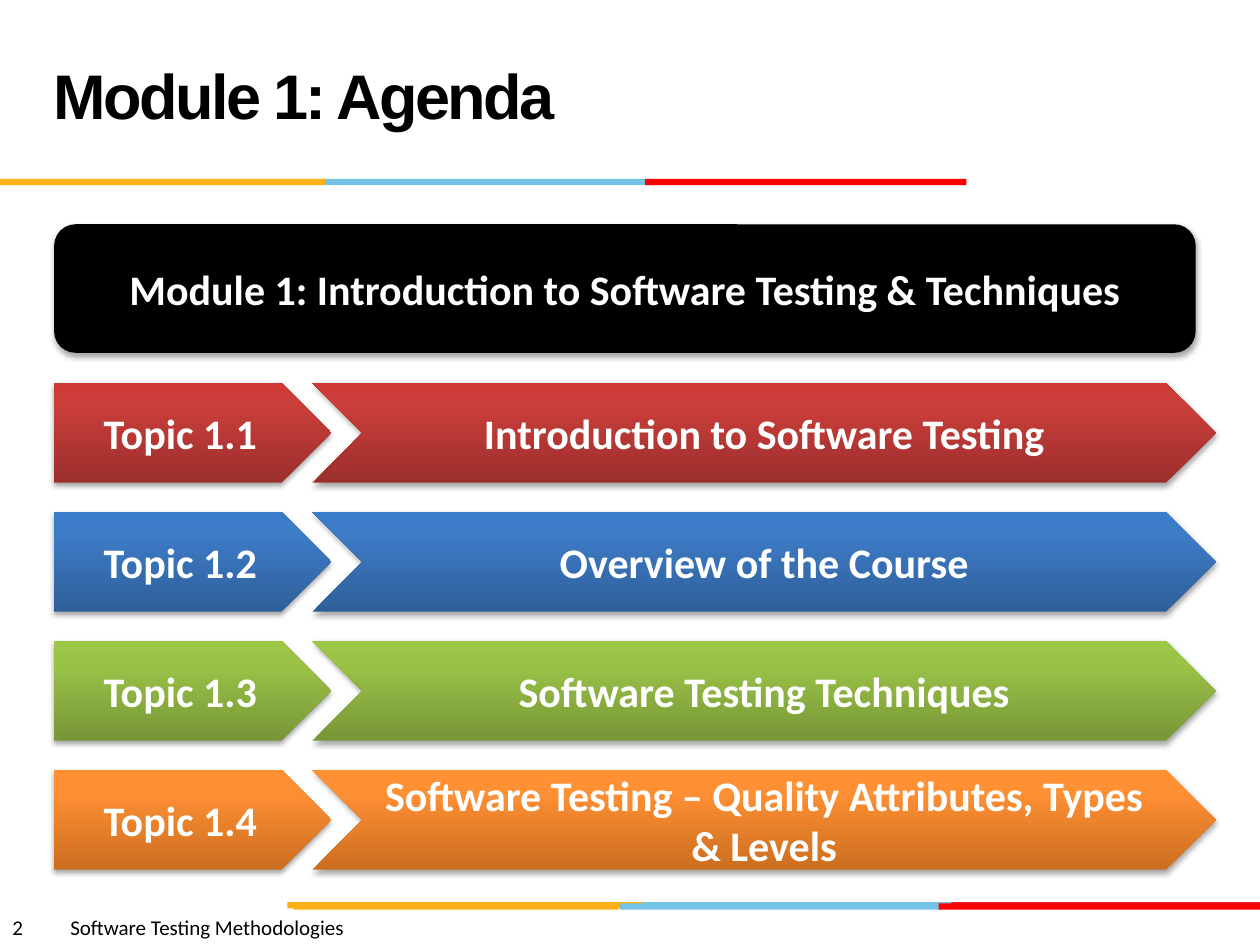
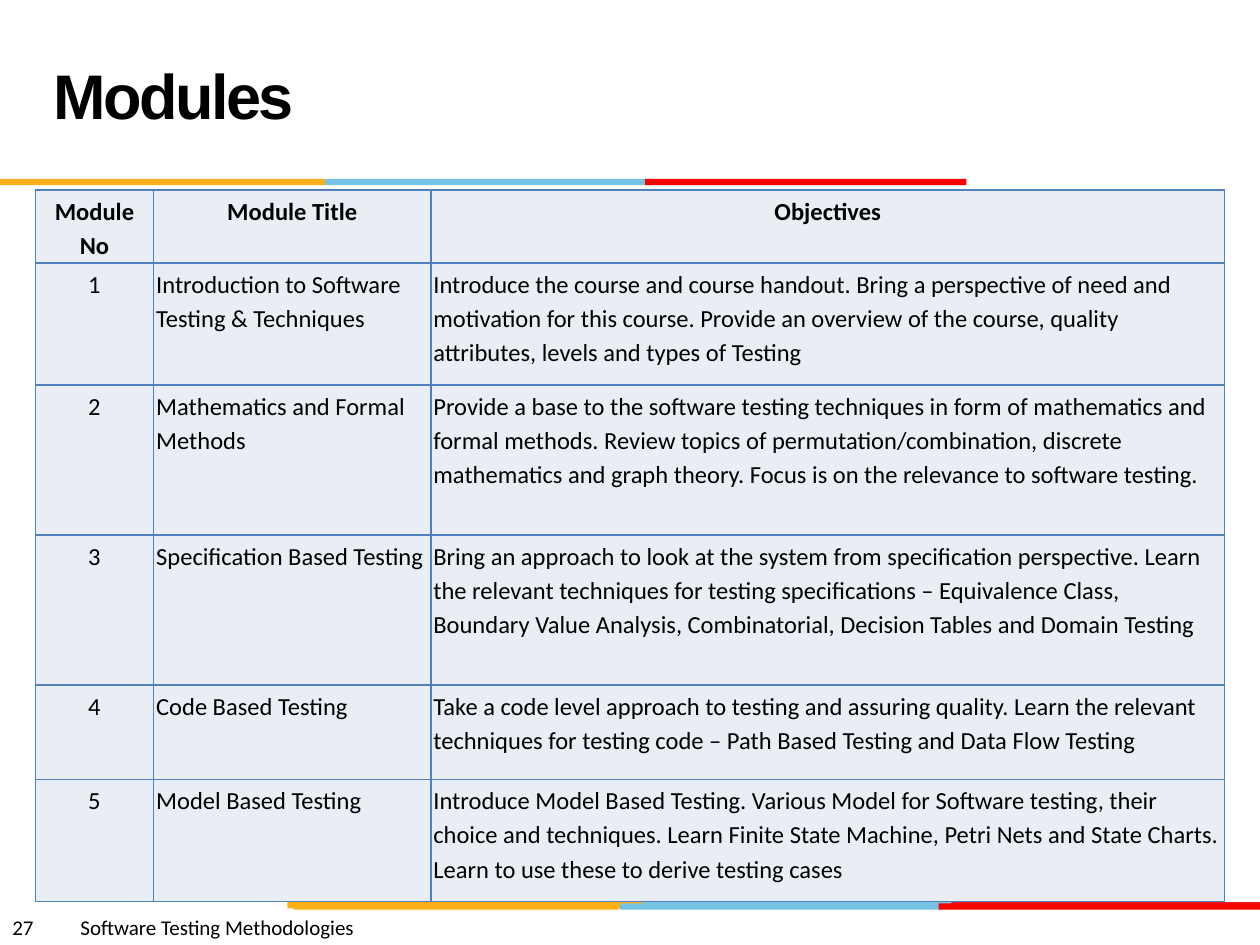
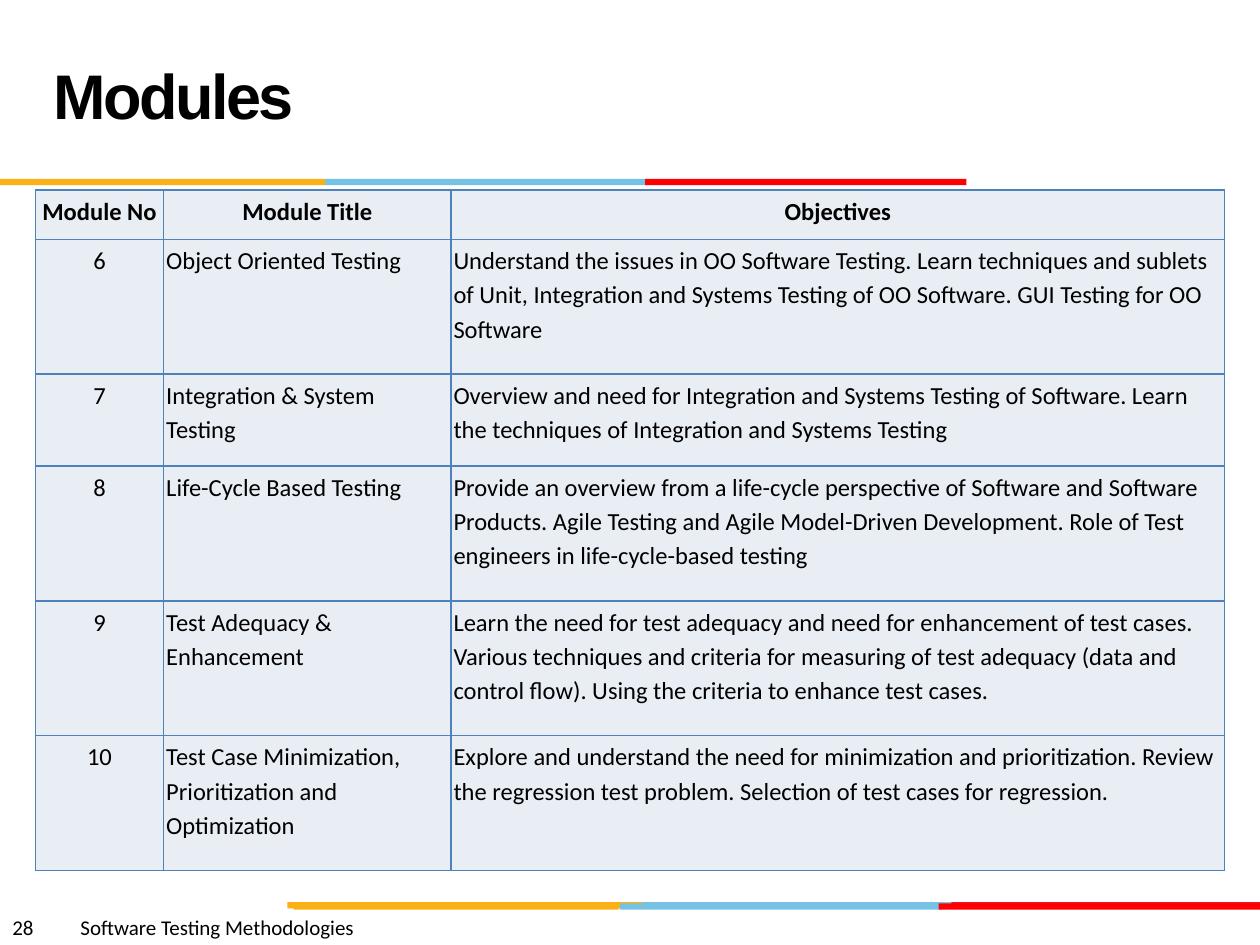
from copy import deepcopy
from dataclasses import dataclass

from lxml.etree import SubElement
from pptx import Presentation
from pptx.dml.color import RGBColor
from pptx.enum.shapes import MSO_SHAPE
from pptx.enum.text import MSO_ANCHOR, MSO_AUTO_SIZE, PP_ALIGN
from pptx.oxml.ns import qn
from pptx.util import Inches, Pt


@dataclass(frozen=True)
class Theme:
    heading_font: str = "Arial"
    body_font: str = "Calibri"
    title_size: int = 36
    box_size: int = 24
    table_size: int = 14
    footer_size: int = 12
    black: str = "000000"
    white: str = "FFFFFF"
    gold: str = "FCB017"
    sky: str = "76C2E5"
    crimson: str = "E31C24"
    red: str = "FF0000"
    cell: str = "E9EDF4"
    border: str = "4F81BD"
    # Gradients run from the bottom of a shape to its top
    red_ramp: tuple = ("9C2F2D", "CB3E3A", "CE3B37")
    blue_ramp: tuple = ("2F5F99", "3D7CC7", "3A7CCB")
    green_ramp: tuple = ("779737", "9BC348", "9DC746")
    orange_ramp: tuple = ("CC6E20", "FF9034", "FF9136")


THEME = Theme()
RAMP_POSITIONS = (0, 0.8, 1)
FOOTER = "Software Testing Methodologies"

# Each strip: top, then (left, width, colour) of its bars
STRIPS = (
    (7.16, ((5.06, 2.55, THEME.sky), (7.55, 2.45, THEME.crimson), (2.28, 2.82, THEME.gold))),
    (7.17, ((4.92, 2.55, THEME.sky), (2.33, 2.58, THEME.gold), (7.45, 2.55, THEME.red))),
    (1.42, ((2.58, 2.55, THEME.sky), (0, 2.58, THEME.gold), (5.12, 2.55, THEME.red))),
)

TOPICS = (
    ("Introduction to Software Testing", THEME.red_ramp),
    ("Overview of the Course", THEME.blue_ramp),
    ("Software Testing Techniques", THEME.green_ramp),
    ("Software Testing – Quality Attributes, Types & Levels", THEME.orange_ramp),
)

MODULE_HEADER = ("Module No", "Module Title", "Objectives")
MODULES = (
    ("Introduction to Software Testing & Techniques",
     "Introduce the course and course handout. Bring a perspective of need and motivation for "
     "this course. Provide an overview of the course, quality attributes, levels and types of "
     "Testing"),
    ("Mathematics and Formal Methods",
     "Provide a base to the software testing techniques in form of mathematics and formal "
     "methods. Review topics of permutation/combination, discrete mathematics and graph theory. "
     "Focus is on the relevance to software testing."),
    ("Specification Based Testing",
     "Bring an approach to look at the system from specification perspective. Learn the relevant "
     "techniques for testing specifications – Equivalence Class, Boundary Value Analysis, "
     "Combinatorial, Decision Tables and Domain Testing"),
    ("Code Based Testing",
     "Take a code level approach to testing and assuring quality. Learn the relevant techniques "
     "for testing code – Path Based Testing and Data Flow Testing"),
    ("Model Based Testing",
     "Introduce Model Based Testing. Various Model for Software testing, their choice and "
     "techniques. Learn Finite State Machine, Petri Nets and State Charts. Learn to use these to "
     "derive testing cases"),
    ("Object Oriented Testing",
     "Understand the issues in OO Software Testing. Learn techniques and sublets of Unit, "
     "Integration and Systems Testing of OO Software. GUI Testing for OO Software"),
    ("Integration & System Testing",
     "Overview and need for Integration and Systems Testing of Software. Learn the techniques of "
     "Integration and Systems Testing"),
    ("Life-Cycle Based Testing",
     "Provide an overview from a life-cycle perspective of Software and Software Products. Agile "
     "Testing and Agile Model-Driven Development. Role of Test engineers in life-cycle-based "
     "testing"),
    ("Test Adequacy & Enhancement",
     "Learn the need for test adequacy and need for enhancement of test cases. Various "
     "techniques and criteria for measuring of test adequacy (data and control flow). Using the "
     "criteria to enhance test cases."),
    ("Test Case Minimization, Prioritization and Optimization",
     "Explore and understand the need for minimization and prioritization. Review the regression "
     "test problem. Selection of test cases for regression."),
)
# First module, column widths and row heights of each table slide
MODULE_PAGES = (
    (27, 1, (0.94, 2.2, 6.3), (0.32, 0.97, 1.19, 1.19, 0.75, 0.97)),
    (28, 6, (1.02, 2.28, 6.14), (0.39, 1.07, 0.73, 1.07, 1.07, 1.07)),
)


class Deck:
    def __init__(self, theme):
        self.theme = theme
        self.prs = Presentation()
        self.prs.slide_width, self.prs.slide_height = Inches(10), Inches(7.5)
        self.s = None

    def slide(self, title, number):
        self.s = self.prs.slides.add_slide(self.prs.slide_layouts[6])
        for top, bars in STRIPS:
            for left, width, color in bars:
                self.shape(MSO_SHAPE.RECTANGLE, left, top, width, 0.05, color)
        self.footer(number)
        self.title(title)

    def font(self, p, size, color, bold=False, name=None):
        p.font.name = name or self.theme.body_font
        p.font.size = Pt(size)
        p.font.bold = bold
        p.font.color.rgb = RGBColor.from_string(color)

    def text(self, left, top, width, height, text):
        tf = self.s.shapes.add_textbox(*map(Inches, (left, top, width, height))).text_frame
        tf.word_wrap = True
        p = tf.paragraphs[0]
        p.text = text
        return tf, p

    def title(self, text):
        tf, p = self.text(0.33, 0.17, 6.92, 1.25, text)
        tf.vertical_anchor = MSO_ANCHOR.MIDDLE
        p.line_spacing = Pt(36)
        self.font(p, self.theme.title_size, self.theme.black, True, self.theme.heading_font)
        p.runs[0].font._element.set("spc", "-150")

    def footer(self, number):
        tf, p = self.text(0, 7.21, 5, 0.3, f"{number}\t{FOOTER}")
        tf.auto_size = MSO_AUTO_SIZE.SHAPE_TO_FIT_TEXT
        self.font(p, self.theme.footer_size, self.theme.black)
        # The tab stop moves right with each digit of the slide number
        stop = Inches(0.38 + 0.08 * len(str(number)))
        tabs = SubElement(p._p.get_or_add_pPr(), qn("a:tabLst"))
        # Tab stops come before the default run properties end the element
        tabs.getparent().insert(0, tabs)
        p_pr = p._p.pPr
        p_pr.insert(p_pr.index(p_pr.find(qn("a:defRPr"))), tabs)
        SubElement(tabs, qn("a:tab"), pos=str(stop), algn="l")

    def shape(self, kind, left, top, width, height, fill):
        sp = self.s.shapes.add_shape(kind, *map(Inches, (left, top, width, height)))
        sp.shadow.inherit = False
        sp.line.fill.background()
        if isinstance(fill, str):
            sp.fill.solid()
            sp.fill.fore_color.rgb = RGBColor.from_string(fill)
        else:
            self.gradient(sp, fill)
        return sp

    def gradient(self, sp, ramp):
        sp.fill.gradient()
        sp.fill.gradient_angle = 90
        gs_lst = sp._element.spPr.find(".//" + qn("a:gsLst"))
        gs_lst.append(deepcopy(gs_lst[-1]))
        for stop, position, color in zip(sp.fill.gradient_stops, RAMP_POSITIONS, ramp):
            stop.position = position
            stop.color.rgb = RGBColor.from_string(color)

    def box(self, kind, left, top, width, height, fill, text):
        sp = self.shape(kind, left, top, width, height, fill)
        effects = sp._element.spPr.find(qn("a:effectLst"))
        shadow = SubElement(effects, qn("a:outerShdw"), blurRad=str(Pt(3.1)),
                            dist=str(Pt(1.8)), dir="5400000", rotWithShape="0")
        color = SubElement(shadow, qn("a:srgbClr"), val=self.theme.black)
        SubElement(color, qn("a:alpha"), val="35000")
        tf = sp.text_frame
        tf.word_wrap = True
        tf.vertical_anchor = MSO_ANCHOR.MIDDLE
        p = tf.paragraphs[0]
        p.text = text
        p.alignment = PP_ALIGN.CENTER
        self.font(p, self.theme.box_size, self.theme.white, True)

    def table(self, left, top, widths, heights, rows):
        frame = self.s.shapes.add_table(
            len(heights), len(widths),
            *map(Inches, (left, top, sum(widths), sum(heights))))
        table = frame.table
        table.horz_banding = False
        for column, width in zip(table.columns, widths):
            column.width = Inches(width)
        for row, height in zip(table.rows, heights):
            row.height = Inches(height)
        for i, row in enumerate(rows):
            for j, text in enumerate(row):
                self.cell(table.cell(i, j), text, header=i == 0, centred=i == 0 or j == 0)

    def cell(self, cell, text, header, centred):
        cell.margin_left = cell.margin_right = Inches(0.02)
        cell.margin_top = cell.margin_bottom = Inches(0.02)
        for side in ("lnL", "lnR", "lnT", "lnB"):
            ln = SubElement(cell._tc.get_or_add_tcPr(), qn(f"a:{side}"), w=str(Pt(1)))
            SubElement(SubElement(ln, qn("a:solidFill")), qn("a:srgbClr"),
                       val=self.theme.border)
        cell.fill.solid()
        cell.fill.fore_color.rgb = RGBColor.from_string(self.theme.cell)
        p = cell.text_frame.paragraphs[0]
        p.text = text
        p.alignment = PP_ALIGN.CENTER if centred else PP_ALIGN.LEFT
        p.line_spacing = 1.15
        p.space_after = Pt(10)
        self.font(p, self.theme.table_size, self.theme.black, header)


def main():
    deck = Deck(THEME)

    # Agenda
    deck.slide("Module 1: Agenda", 2)
    for i, (topic, ramp) in enumerate(TOPICS):
        top = 3.04 + i * 1.024
        deck.box(MSO_SHAPE.PENTAGON, 0.43, top, 2.2, 0.79, ramp, f"Topic 1.{i + 1}")
        deck.box(MSO_SHAPE.CHEVRON, 2.48, top, 7.17, 0.79, ramp, topic)
    deck.box(MSO_SHAPE.ROUNDED_RECTANGLE, 0.43, 1.78, 9.06, 1.02, THEME.black,
             "Module 1: Introduction to Software Testing & Techniques")

    # Module tables
    for number, first, widths, heights in MODULE_PAGES:
        deck.slide("Modules", number)
        modules = MODULES[first - 1:first + len(heights) - 2]
        rows = [(str(n), *module) for n, module in enumerate(modules, first)]
        deck.table(0.28, 1.51, widths, heights, [MODULE_HEADER, *rows])

    deck.prs.save("out.pptx")


if __name__ == "__main__":
    main()
